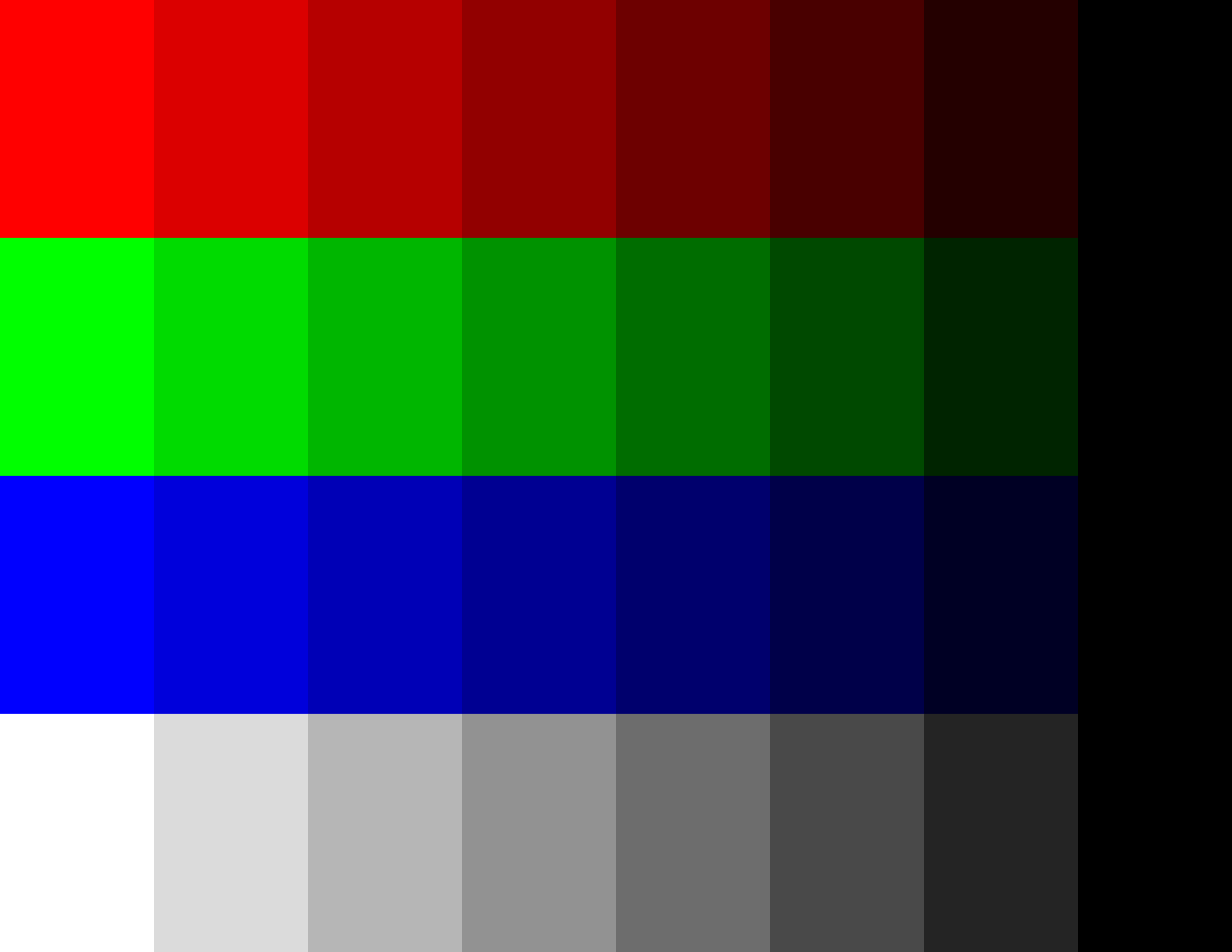
from pptx import Presentation
from pptx import util as u
from pptx.dml.color import RGBColor
from pptx.enum import shapes

# Each row fades from its full hue to black.
theme = {
    "hues": [(255, 0, 0), (0, 255, 0), (0, 0, 255), (255, 255, 255)],
    "steps": 8,
}

deck = Presentation()
deck.slide_width = u.Inches(11)
deck.slide_height = u.Inches(8.5)
slide = deck.slides.add_slide(deck.slide_layouts[6])

hues, steps = theme["hues"], theme["steps"]
wide = deck.slide_width // steps
high = deck.slide_height // len(hues)
chart = slide.shapes.add_group_shape()

for row, hue in enumerate(hues):
    for col in range(steps):
        share = 1 - col / (steps - 1)
        swatch = chart.shapes.add_shape(
            shapes.MSO_SHAPE.RECTANGLE, col * wide, row * high, wide, high)
        swatch.shadow.inherit = False
        swatch.fill.solid()
        swatch.fill.fore_color.rgb = RGBColor(*(round(part * share) for part in hue))
        swatch.line.fill.background()

deck.save("out.pptx")
